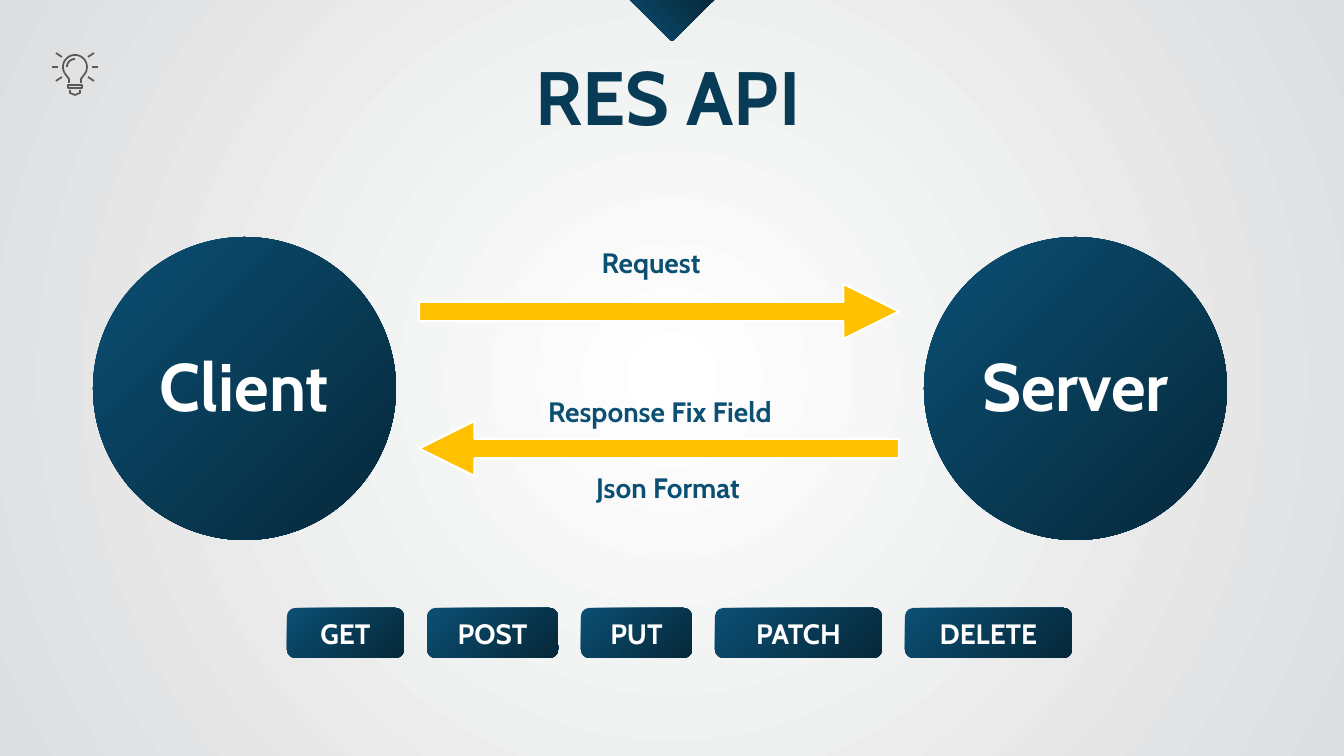
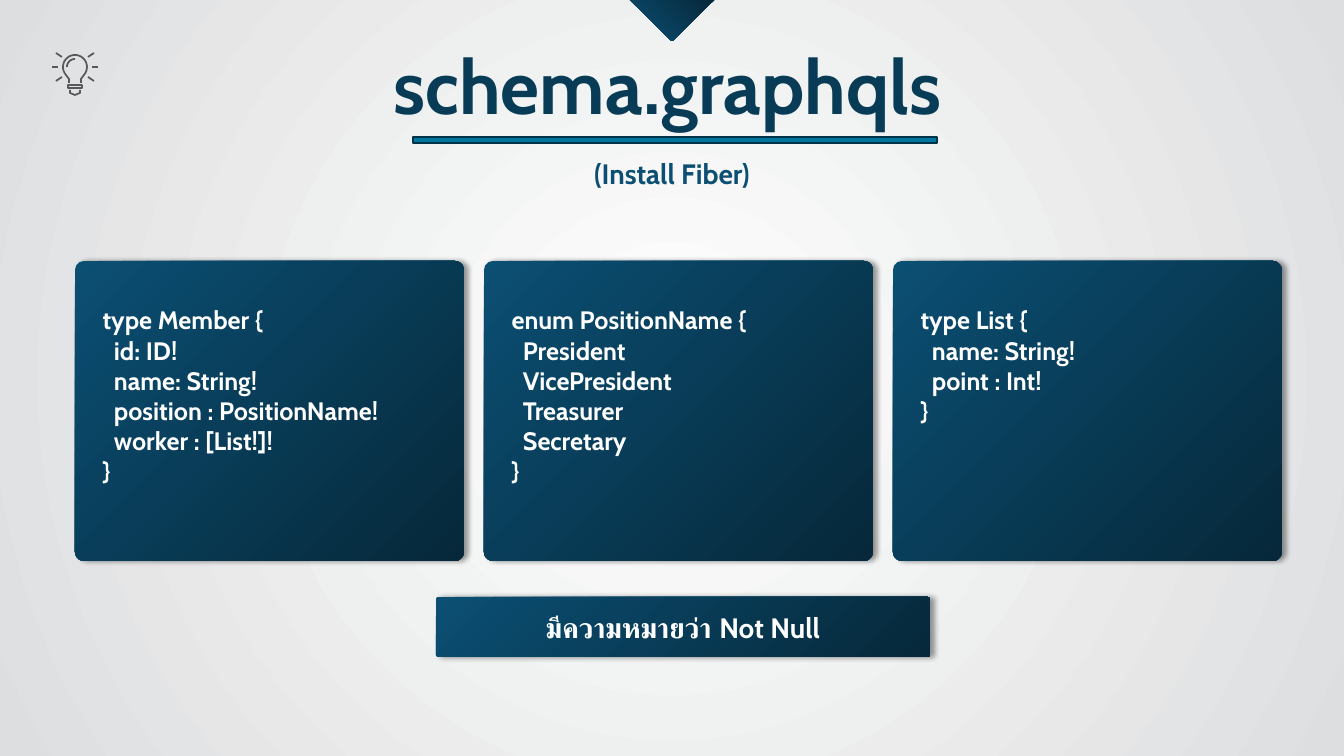
import math

import lxml.etree
import pptx
import pptx.dml.color
import pptx.enum.shapes
import pptx.enum.text
import pptx.oxml
import pptx.oxml.ns
import pptx.util

EMU_PER_PX = 914400 / 100.8
SLIDE_WIDTH, SLIDE_HEIGHT = 1344, 756
FONT = "Cabin"
COLORS = {
    "white": "FFFFFF",
    "mist": "DDDEDF",
    "title": "083B56",
    "blue": "0B4F73",
    "navy": "06283A",
    "rule": "00759E",
    "rule_edge": "003345",
    "arrow": "FFC000",
    "icon": "595959",
}
DOWN_RIGHT, UP_RIGHT = 315, 45
KIND = pptx.enum.shapes.MSO_SHAPE
ALIGN = pptx.enum.text.PP_ALIGN
ANCHOR = pptx.enum.text.MSO_ANCHOR
DRAWING_NS = pptx.oxml.ns.nsdecls("a")


def px(length):
    """Turn a length in px into EMU."""
    return pptx.util.Emu(round(length * EMU_PER_PX))


def rgb(name):
    """Look up a named colour."""
    return pptx.dml.color.RGBColor.from_string(COLORS[name])


def fill_gradient(fill, start, end, angle=0):
    """Give a fill a two-stop linear gradient."""
    fill.gradient()
    fill.gradient_angle = angle
    for stop, name, position in zip(fill.gradient_stops, (start, end), (0, 1)):
        stop.color.rgb = rgb(name)
        stop.position = position


def paint_background(master):
    """Spread a radial glow behind every slide."""
    fill_gradient(master.background.fill, "white", "mist")
    linear = next(master.element.cSld.iter(pptx.oxml.ns.qn("a:lin")))
    linear.getparent().replace(linear, pptx.oxml.parse_xml(
        f'<a:path {DRAWING_NS} path="circle">'
        '<a:fillToRect l="50000" t="50000" r="50000" b="50000"/></a:path>'))


def write(frame, text, size, color, align=ALIGN.CENTER, anchor=ANCHOR.MIDDLE, insets=(0, 0, 0, 0)):
    """Fill a text frame with bold text in the deck font."""
    frame.text = text
    frame.word_wrap = True
    frame.vertical_anchor = anchor
    frame.margin_left, frame.margin_top, frame.margin_right, frame.margin_bottom = map(px, insets)
    for paragraph in frame.paragraphs:
        paragraph.alignment = align
        for run in paragraph.runs:
            run.font.name = FONT
            run.font.size = pptx.util.Pt(size)
            run.font.bold = True
            run.font.color.rgb = rgb(color)


def add_label(slide, box, text, size=20, color="blue"):
    """Place a centred line of text in a box."""
    label = slide.shapes.add_textbox(*map(px, box))
    write(label.text_frame, text, size, color, anchor=ANCHOR.TOP, insets=(10, 5, 10, 5))


def add_solid(slide, kind, box, fill, edge, edge_width):
    """Place a flat shape with an outline."""
    solid = slide.shapes.add_shape(kind, *map(px, box))
    solid.shadow.inherit = False
    solid.fill.solid()
    solid.fill.fore_color.rgb = rgb(fill)
    solid.line.color.rgb = rgb(edge)
    solid.line.width = pptx.util.Pt(edge_width)
    return solid


def add_panel(slide, kind, box, corner=None, raised=False):
    """Place a dark gradient panel, with a soft shadow if raised."""
    panel = slide.shapes.add_shape(kind, *map(px, box))
    panel.shadow.inherit = False
    fill_gradient(panel.fill, "blue", "navy", DOWN_RIGHT)
    panel.line.fill.background()
    if corner is not None:
        panel.adjustments[0] = corner
    if raised:
        effects = panel.element.spPr.find(pptx.oxml.ns.qn("a:effectLst"))
        effects.append(pptx.oxml.parse_xml(
            f'<a:outerShdw {DRAWING_NS} blurRad="50800" dist="38100" dir="0" algn="l" rotWithShape="0">'
            '<a:srgbClr val="000000"><a:alpha val="40000"/></a:srgbClr></a:outerShdw>'))
    return panel


def add_outline(slide, left, top, strokes, closed):
    """Build one freeform from strokes of px points."""
    points = [[(px(x), px(y)) for x, y in stroke] for stroke in strokes]
    builder = slide.shapes.build_freeform(*points[0][0], scale=1.0)
    for index, stroke in enumerate(points):
        if index:
            builder.move_to(*stroke[0])
        builder.add_line_segments(stroke[1:], close=closed)
    outline = builder.convert_to_shape(px(left), px(top))
    outline.shadow.inherit = False
    return outline


def add_pointer(slide, left, top):
    """Hang the gradient pointer from the top edge."""
    pointer = add_outline(slide, left, top, [[(0, 0), (40, 40), (42, 41), (44, 40), (84, 0)]], True)
    fill_gradient(pointer.fill, "blue", "navy", UP_RIGHT)
    pointer.line.fill.background()


def arc(center_x, center_y, radius, start, end):
    """List points along an arc, in degrees clockwise from the right."""
    angles = [math.radians(degree) for degree in range(start, end + 1, 10)]
    return [(center_x + radius * math.cos(a), center_y + radius * math.sin(a)) for a in angles]


def add_bulb(slide, left, top):
    """Draw the light bulb icon in thin strokes."""
    middle, glass_y = 24, 15
    glass = [(18, 31), (18, 27), *arc(middle, glass_y, 12, 140, 400), (30, 27), (30, 31)]
    glint = arc(middle, glass_y, 8, 180, 270)
    collar = [(17, 33), (31, 33), (31, 36), (17, 36), (17, 33)]
    tip = [(19, 38), (19, 41), (24, 43), (29, 41), (29, 38)]
    right_rays = [[(37, 5), (43, 1)], [(41, 15), (47, 15)], [(37, 25), (43, 29)]]
    left_rays = [[(2 * middle - x, y) for x, y in ray] for ray in right_rays]
    bulb = add_outline(slide, left, top, [glass, glint, collar, tip, *right_rays, *left_rays], False)
    bulb.fill.background()
    bulb.line.color.rgb = rgb("icon")
    bulb.line.width = pptx.util.Pt(1.25)


def add_titled_slide(deck, title, title_box):
    """Start a slide with the pointer, title and bulb."""
    slide = deck.slides.add_slide(deck.slide_layouts[6])
    add_pointer(slide, 630, 0)
    add_label(slide, title_box, title, 54, "title")
    add_bulb(slide, 51, 52)
    return slide


def add_exchange(slide, box):
    """Show client and server trading a request and a response."""
    left, top, width, diameter = box
    for name, x in (("Client", left), ("Server", left + width - diameter)):
        party = add_panel(slide, KIND.OVAL, (x, top, diameter, diameter))
        write(party.text_frame, name, 48, "white", insets=(0, 0, 0, 7))
    for y, rotation in ((184, 180), (47, 0)):
        arrow = add_solid(slide, KIND.RIGHT_ARROW, (left + 326, top + y, 480, 55), "arrow", "white", 1.5)
        arrow.adjustments[0], arrow.adjustments[1] = 0.35, 1.01
        arrow.rotation = rotation
    for text, x, y in (("Request", 409, 3), ("Response Fix Field", 418, 152), ("Json Format", 426, 229)):
        add_label(slide, (left + x, top + y, 298, 44), text)


def add_methods(slide, box, gap=23):
    """Line up the request methods as pills."""
    left, top, height = box
    for method, width in (("GET", 117), ("POST", 131), ("PUT", 111), ("PATCH", 167), ("DELETE", 167)):
        pill = add_panel(slide, KIND.ROUNDED_RECTANGLE, (left, top, width, height))
        write(pill.text_frame, method, 20, "white")
        left += width + gap


def add_schema_cards(slide, box, definitions, gap=20):
    """Set the schema definitions side by side on cards."""
    left, top, total, height = box
    width = (total - gap * (len(definitions) - 1)) / len(definitions)
    for index, definition in enumerate(definitions):
        card_box = (left + index * (width + gap), top, width, height)
        card = add_panel(slide, KIND.ROUNDED_RECTANGLE, card_box, 0.03, True)
        write(card.text_frame, definition, 18, "white", ALIGN.LEFT, ANCHOR.TOP, (25, 41, 25, 5))


def build_api_slide(deck):
    """Build the slide on requests and responses."""
    slide = add_titled_slide(deck, "RES API", (413, 45, 510, 102))
    add_exchange(slide, (93, 237, 1134, 303))
    add_methods(slide, (287, 608, 50))


def build_schema_slide(deck):
    """Build the slide on the schema file."""
    slide = add_titled_slide(deck, "schema.graphqls", (306, 34, 723, 102))
    add_label(slide, (436, 151, 472, 44), "(Install Fiber)")
    add_solid(slide, KIND.RECTANGLE, (413, 137, 524, 6), "rule", "rule_edge", 1)
    add_schema_cards(slide, (75, 261, 1207, 300), (
        "type Member {\n  id: ID!\n  name: String!\n  position : PositionName!\n  worker : [List!]!\n}",
        "enum PositionName {\n  President\n  VicePresident\n  Treasurer\n  Secretary\n}",
        "type List {\n  name: String!\n  point : Int!\n}",
    ))
    meaning = add_panel(slide, KIND.ROUNDED_RECTANGLE, (436, 597, 494, 60), 0.04, True)
    write(meaning.text_frame, "มีความหมายว่า Not Null", 20, "white")


def main():
    """Build and save the deck."""
    deck = pptx.Presentation()
    deck.slide_width, deck.slide_height = px(SLIDE_WIDTH), px(SLIDE_HEIGHT)
    paint_background(deck.slide_master)
    build_api_slide(deck)
    build_schema_slide(deck)
    deck.save("out.pptx")


if __name__ == "__main__":
    main()
